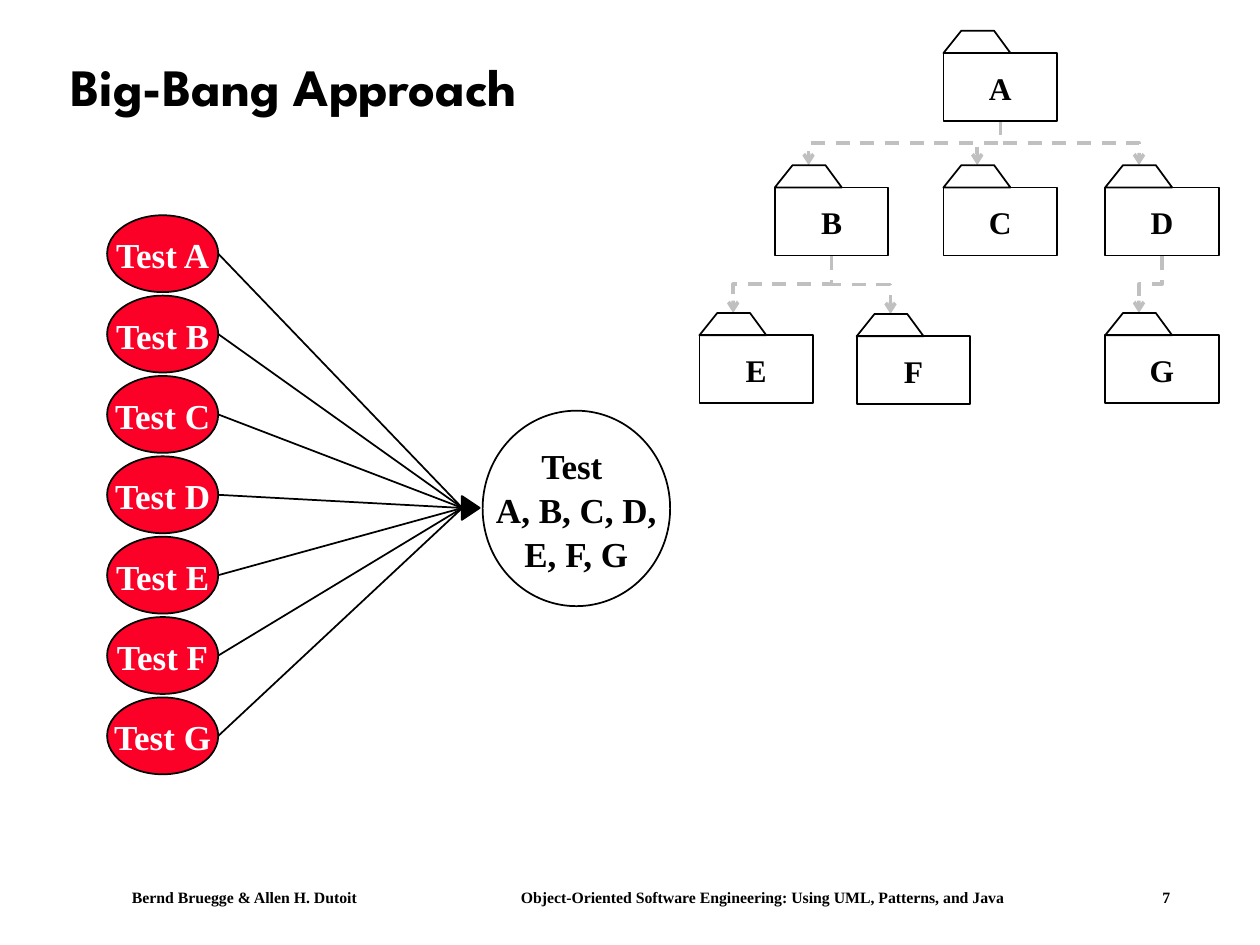
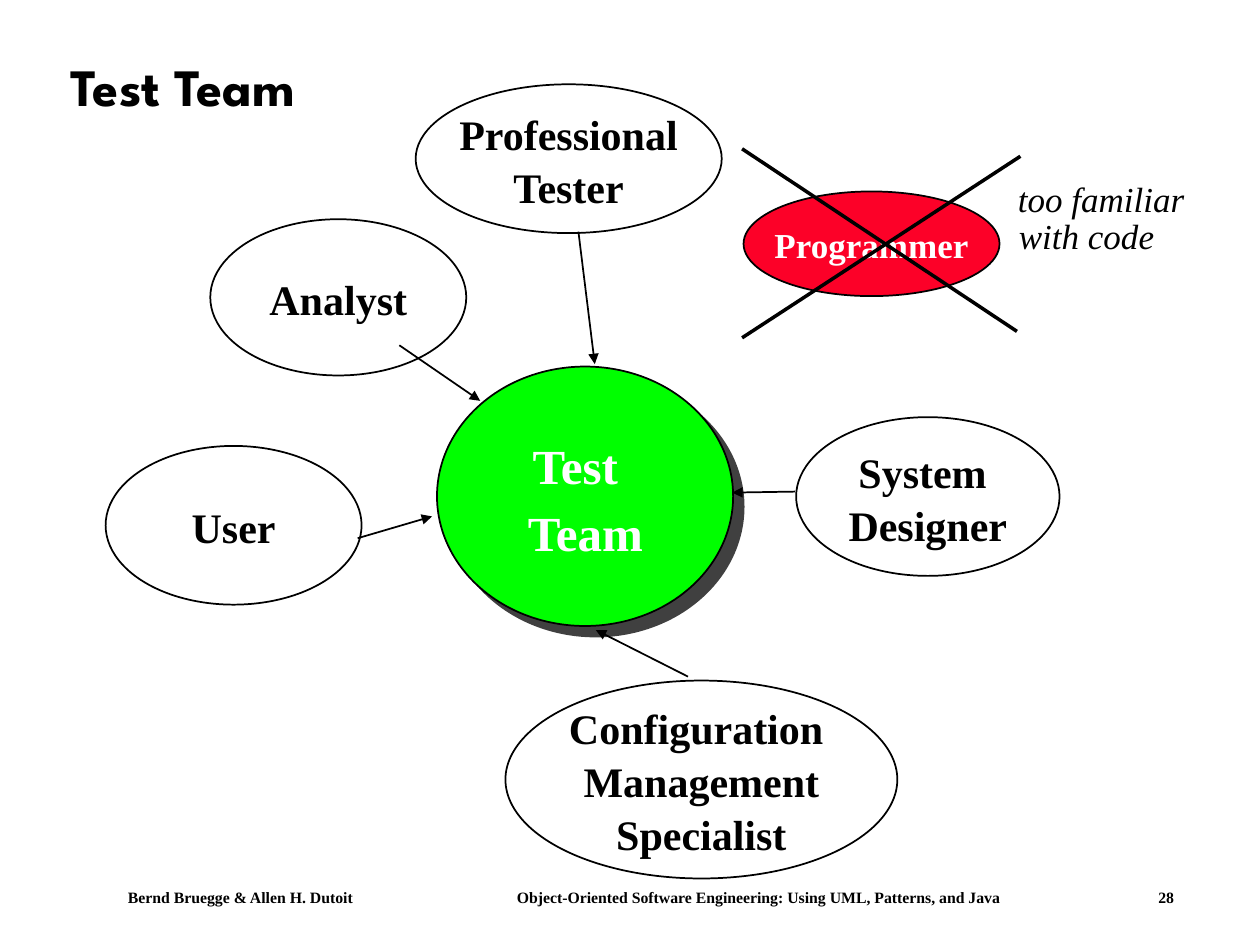
from pptx import Presentation
from pptx import util as u
from pptx.dml.color import RGBColor
from pptx.enum import dml, shapes, text
from pptx.oxml import parse_xml
from pptx.oxml.ns import nsdecls

# ---- Content (all places and lengths in cm) ----
AUTHORS = "Bernd Bruegge & Allen H. Dutoit"
BOOK = "Object-Oriented Software Engineering: Using UML, Patterns, and Java"

FOLDERS = {
    "A": (19.02, 1.07),
    "B": (15.62, 3.78), "C": (19.02, 3.78), "D": (22.28, 3.78),
    "E": (14.1, 6.76), "F": (17.27, 6.78), "G": (22.28, 6.76),
}
USES = ["AB", "BE", "BF", "DG", "AC", "AD"]
GOAL = ["Test ", "A, B, C, D,", "E, F, G"]

ROLES = [
    (["Analyst"], (4.24, 4.42, 5.16, 3.15)),
    (["User"], (2.13, 8.99, 5.16, 3.2)),
    (["Professional", "Tester"], (8.38, 1.7, 6.17, 3)),
    (["Configuration ", "Management", "Specialist"], (10.19, 13.72, 7.9, 3.99)),
    (["System ", "Designer"], (16.05, 8.41, 5.31, 3.2)),
]
JOINS = [
    (13.87, 13.64, 12.01, 12.7),
    (8.05, 6.96, 9.68, 8.08),
    (7.21, 10.85, 8.71, 10.41),
    (11.66, 4.67, 11.99, 7.34),
    (16.03, 9.91, 14.76, 9.93),
]
CROSS = [(20.57, 3.15, 14.96, 6.81), (14.96, 3, 20.5, 6.68)]
TEAM = [("Test", (10.49, 8.66, 2.31, 1.42)), ("Team", (10.39, 10.01, 2.92, 1.42))]
NOTES = [("too familiar", (20.27, 3.45, 3.86, 1.09)),
         ("with code", (20.29, 4.19, 3.23, 1.09))]


# ---- Theme ----
class Theme:
    black, white = RGBColor(0, 0, 0), RGBColor(255, 255, 255)
    red, green = RGBColor(0xFC, 0x01, 0x28), RGBColor(0, 255, 0)
    grey = RGBColor(0xC0, 0xC0, 0xC0)
    serif, head = "Times New Roman", "League Spartan"
    title, team, role, test, folder, foot = 30, 28, 24, 20, 18, 9
    thin, thick = 1, 2


BODY = (2.29, 1.37)
TAB = [(0.36, -0.45), (1.02, -0.45), (1.35, 0)]
TAB_MID, TAB_TOP = 0.68, -0.45
DOT, FIRST, STEP = (2.24, 1.55), (2.16, 4.34), 1.62
TIP = (9.32, 10.24)
MID = text.PP_ALIGN.CENTER


# ---- Helpers ----
def cms(vals):
    return [u.Cm(v) for v in vals]


def style(item, vals):
    for name, val in vals.items():
        setattr(item, name, val)


def write(shape, lines, size, color=Theme.black, align=MID, space=1.05,
          wrap=False, anchor=text.MSO_ANCHOR.MIDDLE, **font):
    frame = shape.text_frame
    style(frame, {"word_wrap": wrap, "vertical_anchor": anchor})
    for i, line in enumerate(lines):
        para = frame.add_paragraph() if i else frame.paragraphs[0]
        style(para, {"alignment": align, "line_spacing": space})
        run = para.add_run()
        run.text = line
        style(run.font, {"name": Theme.serif, "size": u.Pt(size), "bold": True, **font})
        run.font.color.rgb = color


def label(slide, line, box, size, **opts):
    opts = {"align": text.PP_ALIGN.LEFT, "anchor": text.MSO_ANCHOR.TOP,
            "space": 1, **opts}
    write(slide.shapes.add_textbox(*cms(box)), [line], size, **opts)


def paint(shape, fill=None):
    shape.shadow.inherit = False
    if fill is None:
        shape.fill.background()
    else:
        shape.fill.solid()
        shape.fill.fore_color.rgb = fill
    shape.line.color.rgb = Theme.black
    shape.line.width = u.Pt(Theme.thin)
    return shape


def draw(slide, kind, box, fill=None):
    return paint(slide.shapes.add_shape(kind, *cms(box)), fill)


def oval(slide, box, fill=None):
    return draw(slide, shapes.MSO_SHAPE.OVAL, box, fill)


def link(slide, ends, width=Theme.thin, color=Theme.black, head=None,
         kind=shapes.MSO_CONNECTOR.STRAIGHT, dash=None):
    con = slide.shapes.add_connector(kind, *cms(ends))
    con.line.color.rgb = color
    style(con.line, {"width": u.Pt(width), "dash_style": dash})
    if head:
        con.line._get_or_add_ln().append(
            parse_xml(f'<a:tailEnd {nsdecls("a")} type="{head}"/>'))
    con._element.spPr.append(parse_xml(f'<a:effectLst {nsdecls("a")}/>'))
    return con


def drop(slide, x1, y1, x2, y2):
    """Dashed elbow that leaves downwards and arrives downwards."""
    cx, cy = (x1 + x2) / 2, (y1 + y2) / 2
    dx, dy = abs(x2 - x1) / 2, (y2 - y1) / 2
    con = link(slide, (cx - dy, cy - dx, cx + dy, cy + dx), Theme.thick, Theme.grey,
               "arrow", shapes.MSO_CONNECTOR.ELBOW, dml.MSO_LINE.DASH)
    frame = con._element.spPr.xfrm
    turn = {"rot": "5400000"} if x2 < x1 else {"rot": "16200000", "flipH": "1"}
    for name, val in turn.items():
        frame.set(name, val)


def folder(slide, name, x, y):
    body = draw(slide, shapes.MSO_SHAPE.RECTANGLE, (x, y, *BODY))
    write(body, [name], Theme.folder)
    pen = slide.shapes.build_freeform(*cms((x, y)))
    pen.add_line_segments([cms((x + dx, y + dy)) for dx, dy in TAB], close=True)
    paint(pen.convert_to_shape())


def page(deck, title, num):
    slide = deck.slides.add_slide(deck.slide_layouts[6])
    # Footer: a longer page number moves the rest slightly left
    nudge = 0.08 * (len(num) - 1)
    for line, left, wide, align in [
            (AUTHORS, 2.41 - nudge, 6, text.PP_ALIGN.LEFT),
            (BOOK, 10.25 - nudge, 11, text.PP_ALIGN.LEFT),
            (num, 22.76, 1.5, MID)]:
        label(slide, line, (left, 17.78, wide, 0.64), Theme.foot, align=align, wrap=True)
    label(slide, title, (1.17, 0.61, 22.66, 2.39), Theme.title, name=Theme.head,
          space=0.9, wrap=True, anchor=text.MSO_ANCHOR.MIDDLE)
    return slide


# ---- Slides ----
def bang(deck):
    slide = page(deck, "Big-Bang Approach", "7")
    # Folder tree
    for top, low in USES:
        (x1, y1), (x2, y2) = FOLDERS[top], FOLDERS[low]
        drop(slide, x1 + BODY[0] / 2, y1 + BODY[1], x2 + TAB_MID, y2 + TAB_TOP)
    for name, spot in FOLDERS.items():
        folder(slide, name, *spot)
    # Unit tests that meet in one joint test
    left, top = FIRST
    for i, name in enumerate(FOLDERS):
        y = top + i * STEP
        write(oval(slide, (left, y, *DOT), Theme.red), [f"Test {name}"],
              Theme.test, Theme.white)
        link(slide, (left + DOT[0], y + DOT[1] / 2, *TIP))
    write(oval(slide, (9.73, 8.28, 3.78, 3.94)), GOAL, Theme.test)
    tip = draw(slide, shapes.MSO_SHAPE.ISOSCELES_TRIANGLE,
               (9.25, 10.06, 0.48, 0.36), Theme.black)
    tip.rotation = 90


def team(deck):
    slide = page(deck, "Test Team", "28")
    # Team in the centre, with its shadow
    hub = oval(slide, (8.81, 7.39, 5.97, 5.23), Theme.green)
    hub._element.spPr.effect_lst = None
    for old in hub._element.spPr.findall(
            "{http://schemas.openxmlformats.org/drawingml/2006/main}effectLst"):
        hub._element.spPr.remove(old)
    hub._element.spPr.append(parse_xml(
        f'<a:effectLst {nsdecls("a")}><a:outerShdw dist="107950" dir="2700000" algn="ctr" '
        'rotWithShape="0"><a:srgbClr val="000000"><a:alpha val="75000"/></a:srgbClr>'
        '</a:outerShdw></a:effectLst>'))
    for line, box in TEAM:
        label(slide, line, box, Theme.team, color=Theme.white)
    # Roles and their arrows
    for lines, box in ROLES:
        write(oval(slide, box, Theme.white), lines, Theme.role)
    for ends in JOINS:
        link(slide, ends, head="triangle")
    # Programmer, crossed out
    write(oval(slide, (14.99, 3.86, 5.16, 2.11), Theme.red), ["Programmer"],
          Theme.test, Theme.white)
    for ends in CROSS:
        link(slide, ends, Theme.thick)
    for line, box in NOTES:
        label(slide, line, box, Theme.test, bold=False, italic=True)


def main():
    deck = Presentation()
    style(deck, {"slide_width": u.Cm(25.4), "slide_height": u.Cm(19.05)})
    bang(deck)
    team(deck)
    deck.save("out.pptx")


if __name__ == "__main__":
    main()
